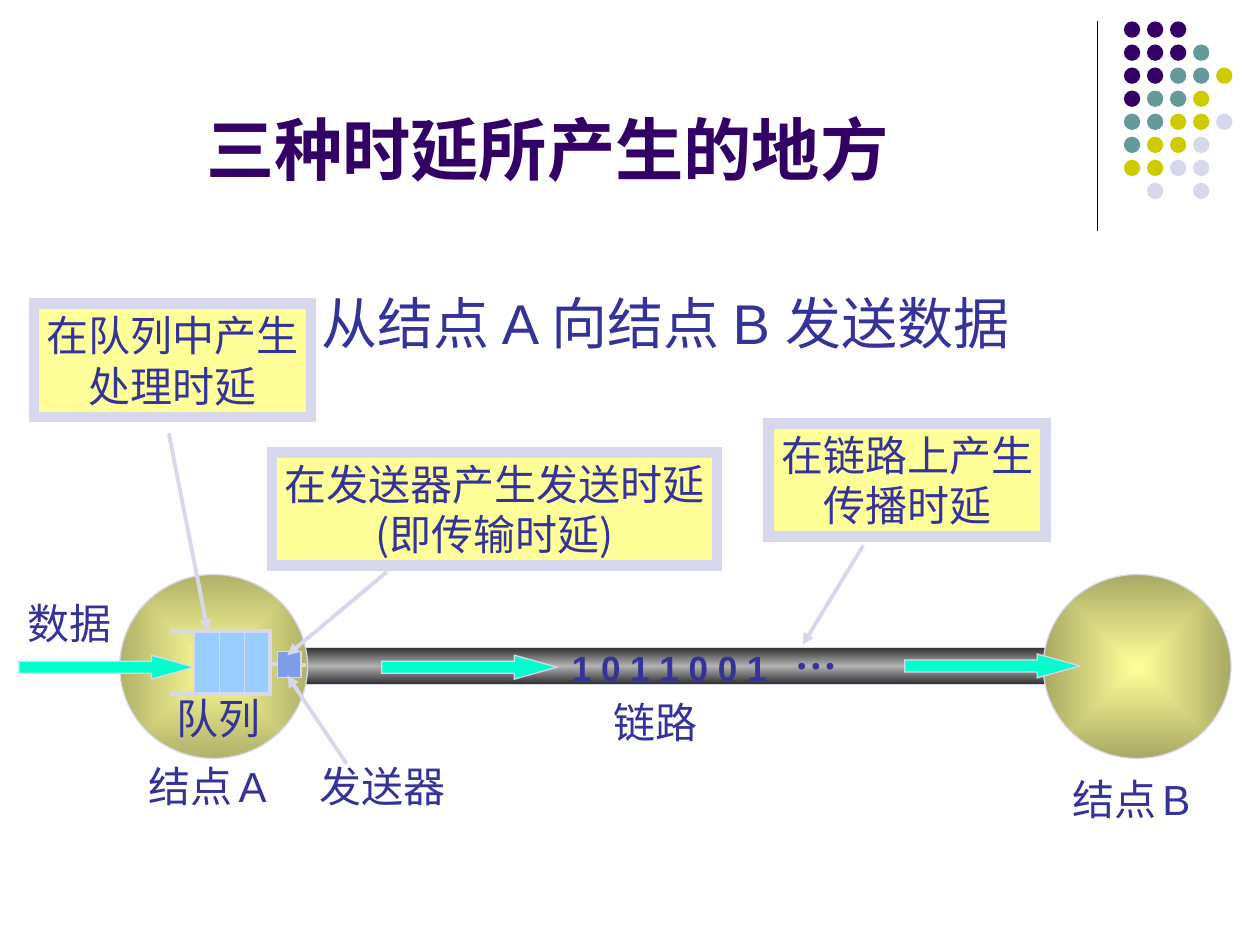
from lxml import etree
from pptx import Presentation
from pptx.dml.color import RGBColor
from pptx.enum.shapes import MSO_CONNECTOR, MSO_SHAPE
from pptx.enum.text import MSO_ANCHOR, MSO_AUTO_SIZE, PP_ALIGN
from pptx.oxml.ns import qn
from pptx.util import Inches, Pt

RECT, OVAL, ARROW = MSO_SHAPE.RECTANGLE, MSO_SHAPE.OVAL, MSO_SHAPE.RIGHT_ARROW
STRAIGHT = MSO_CONNECTOR.STRAIGHT
LEFT, CENTER = PP_ALIGN.LEFT, PP_ALIGN.CENTER
BOTTOM, TOP = MSO_ANCHOR.BOTTOM, MSO_ANCHOR.TOP
FIT, FIXED = MSO_AUTO_SIZE.SHAPE_TO_FIT_TEXT, MSO_AUTO_SIZE.NONE

INK, PURPLE, TEAL, OLIVE, PALE = "333399", "330066", "669999", "CCCC00", "D8D8EC"
YELLOW, AQUA = "FFFF99", "00FFCC"
SANS, SERIF, CJK = "Arial", "Times New Roman", "Noto Sans CJK SC"
THIN, MEDIUM, THICK = 0.75, 2.25, 6


def color(code):
    return RGBColor.from_string(code)


def cells(*values):
    """Lengths on a grid of 100 columns by 75 rows, 0.1 inch each."""
    return [Inches(value / 10) for value in values]


class Sketch:
    def __init__(self, page):
        self.page = page
        self.shapes = page.shapes

    def outline(self, item, code, width):
        if code is None:
            item.line.fill.background()
        else:
            item.line.color.rgb = color(code)
            item.line.width = Pt(width)
            etree.SubElement(item.line._get_or_add_ln(), qn("a:miter"), lim="800000")

    def shape(self, kind, place, fill, line=PALE, width=THIN):
        item = self.shapes.add_shape(kind, *cells(*place))
        item.shadow.inherit = False
        item.fill.solid()
        item.fill.fore_color.rgb = color(fill)
        self.outline(item, line, width)
        return item

    def gradient(self, item, stops, angle=None):
        """Linear at the given angle, otherwise spreading from the centre."""
        item.fill.gradient()
        node = item._element.spPr.find(qn("a:gradFill"))
        for child in list(node):
            node.remove(child)
        stop_list = etree.SubElement(node, qn("a:gsLst"))
        for share, code in stops:
            stop = etree.SubElement(stop_list, qn("a:gs"), pos=str(share * 1000))
            etree.SubElement(stop, qn("a:srgbClr"), val=code)
        if angle is not None:
            etree.SubElement(node, qn("a:lin"), ang=str(angle * 60000), scaled="0")
        else:
            spread = etree.SubElement(node, qn("a:path"), path="rect")
            etree.SubElement(spread, qn("a:fillToRect"),
                             {side: "50000" for side in "ltrb"})

    def line(self, start, end, width=THIN, code=PALE, arrow=False):
        item = self.shapes.add_connector(STRAIGHT, *cells(*start, *end))
        self.outline(item, code, width)
        if arrow:
            etree.SubElement(item.line._get_or_add_ln(), qn("a:tailEnd"), type="triangle")
        etree.SubElement(item._element.spPr, qn("a:effectLst"))

    def style(self, span, size, font, code, bold=False):
        span.font.size, span.font.name, span.font.bold = Pt(size), font, bold
        span.font.color.rgb = color(code)
        east = etree.SubElement(span._r.get_or_add_rPr(), qn("a:ea"))
        east.set("typeface", CJK)

    def text(self, box, words, size, font, code=INK, bold=False,
             align=LEFT, anchor=TOP, fit=FIT):
        frame = box.text_frame
        frame.text = words
        frame.word_wrap = fit == FIXED
        frame.auto_size = fit
        frame.vertical_anchor = anchor
        for para in frame.paragraphs:
            para.alignment = align
            for span in para.runs:
                self.style(span, size, font, code, bold)

    def title(self, place, words):
        box = self.shapes.title
        box.left, box.top, box.width, box.height = cells(*place)
        self.text(box, words, 39, SANS, PURPLE, True, CENTER, BOTTOM, FIXED)

    def label(self, place, words, size=24, font=SERIF, bold=False):
        box = self.shapes.add_textbox(*cells(*place))
        self.text(box, words, size, font, bold=bold)
        return box

    def node_label(self, place, letter):
        para = self.label(place, "结点").text_frame.paragraphs[0]
        for words, size in ((" ", 16), (letter, 24)):
            span = para.add_run()
            span.text = words
            self.style(span, size, SANS, INK)

    def callout(self, place, words, start, end):
        self.line(start, end, MEDIUM, arrow=True)
        box = self.shape(RECT, place, YELLOW, width=THICK)
        self.text(box, words, 24, CJK, align=CENTER)

    def block_arrow(self, left, top):
        item = self.shape(ARROW, (left, top, 13.9, 1.9), AQUA)
        item.adjustments[0], item.adjustments[1] = 0.5, 1.78

    def bracket(self, left, top, right, bottom):
        points = [cells(*point) for point in
                  ((left, top), (right, top), (right, bottom), (left, bottom))]
        builder = self.shapes.build_freeform(*points[0])
        builder.add_line_segments(points[1:], close=False)
        item = builder.convert_to_shape()
        item.shadow.inherit = False
        item.fill.background()
        self.outline(item, PALE, MEDIUM)


deck = Presentation()
deck.slide_width, deck.slide_height = cells(100, 75)
sketch = Sketch(deck.slides.add_slide(deck.slide_layouts[5]))

# Corner decoration: a rule and a dot matrix
sketch.line((87.1, 1.7), (87.1, 18.3), code="000000")
dot_colors = {"P": PURPLE, "T": TEAL, "O": OLIVE, "L": PALE}
dot_rows = ("PPP", "PPPT", "PPTTO", "PTTO", "TTOOL", "TOOL", "OOLL", " L L")
for row, marks in enumerate(dot_rows):
    for column, mark in enumerate(marks):
        if mark in dot_colors:
            place = (89.2 + 1.83 * column, 1.7 + 1.83 * row, 1.3, 1.3)
            sketch.shape(OVAL, place, dot_colors[mark], line=None)

sketch.title((6.1, 1.3, 75.9, 14.2), "三种时延所产生的地方 ")

# Link and the two nodes
link = sketch.shape(RECT, (23.4, 51.4, 60.4, 2.9), "B2B2B2")
sketch.gradient(link, ((0, "303030"), (50, "B2B2B2"), (100, "303030")), angle=90)
for left, edge in ((9.5, "B1B16A"), (82.8, "A9A965")):
    node = sketch.shape(OVAL, (left, 45.6, 14.9, 14.6), YELLOW)
    sketch.gradient(node, ((0, YELLOW), (100, edge)))

# Queue and transmitter inside node A
sketch.shape(RECT, (15.4, 50.1, 5.9, 5), "99CCFF")
sketch.bracket(13.5, 50.1, 21.4, 55.1)
for slot in range(3):
    x = 15.4 + 2 * slot
    sketch.line((x, 50.1), (x, 55.1))
sketch.line((21.3, 52.7), (24.3, 52.8), MEDIUM)
sketch.shape(RECT, (22, 51.7, 1.9, 2.1), "7E9CE8")

# Data flow
for left, top in ((30.3, 52), (1.5, 52), (71.8, 51.9)):
    sketch.block_arrow(left, top)
sketch.label((44.4, 50.8, 17.5, 4.4), "1 0 1 1 0 0 1", 20, SANS, True)
sketch.label((62.1, 49.3, 5.3, 5), "…", bold=True)

# Labels, wide enough to stay on one line
sketch.label((24.4, 59.9, 12.3, 5), "发送器")
for left, top, words in ((13, 54.5, "队列"), (1.2, 46.9, "数据"), (47.7, 54.8, "链路")):
    sketch.label((left, top, 9, 5), words)
sketch.node_label((10.8, 59.9, 12.2, 5), "A")
sketch.node_label((84.1, 60.9, 12.2, 5), "B")
sketch.label((24.5, 22.4, 61.1, 6.4), "从结点 A 向结点 B 发送数据", 32, SANS)

# Callouts for the three delays, and the pointer to the transmitter
sketch.callout((61, 33.6, 22, 9), "在链路上产生\n传播时延", (68.5, 43.3), (63.7, 51.2))
sketch.callout((21.6, 35.9, 35.3, 9), "在发送器产生发送时延\n(即传输时延)",
               (30.7, 45.4), (22.8, 52))
sketch.callout((2.7, 24.1, 22, 9), "在队列中产生\n处理时延", (13.4, 34.4), (16.5, 50.1))
sketch.line((27.5, 60.6), (22.8, 53.6), MEDIUM, arrow=True)

deck.save("out.pptx")
